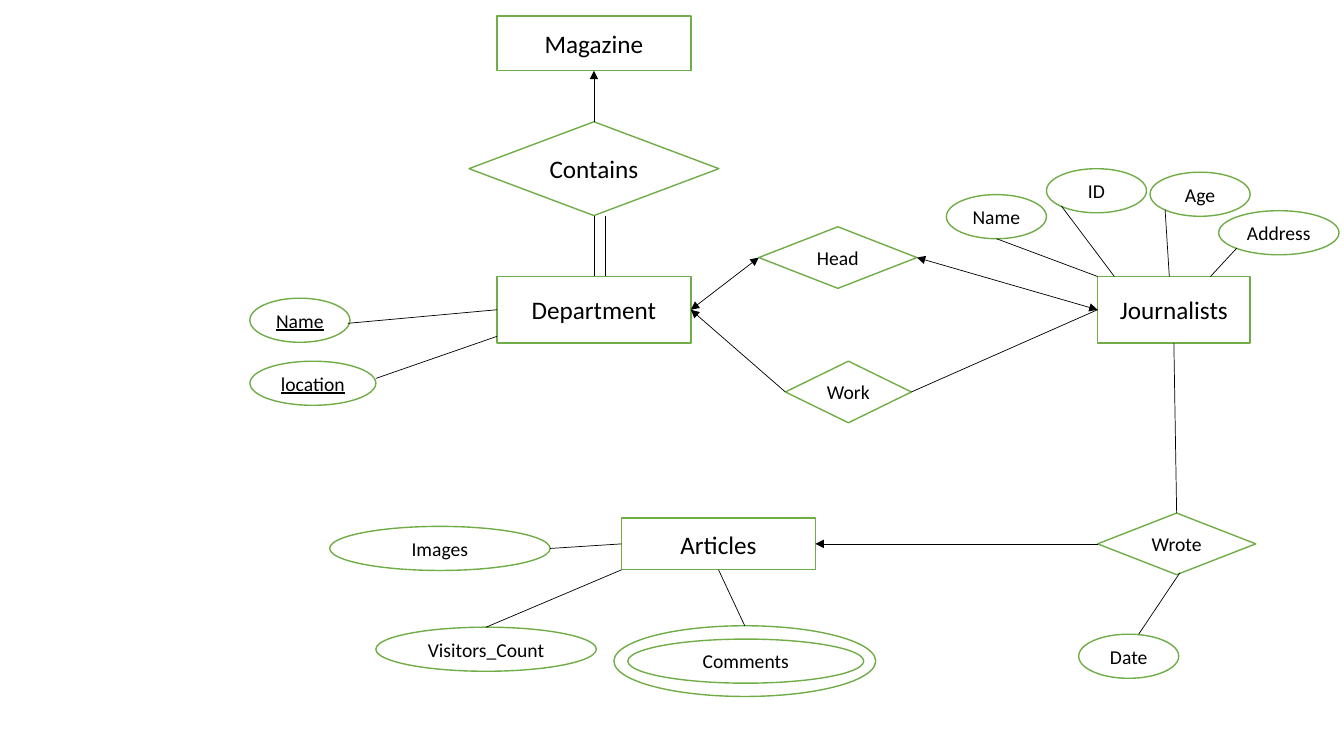
from pptx import Presentation
from pptx.dml.color import RGBColor
from pptx.enum.shapes import MSO_CONNECTOR as Conn, MSO_SHAPE as Kind
from pptx.enum.text import MSO_ANCHOR as Anchor, PP_ALIGN as Align
from pptx.oxml.ns import qn
from pptx.util import Pt
from lxml.etree import SubElement

WHITE = RGBColor(0xFF, 0xFF, 0xFF)
BLACK = RGBColor(0, 0, 0)
GREEN = RGBColor(0x70, 0xAD, 0x47)

BIG, SMALL = 18, 14
OVAL = 31.5  # height of every attribute
FRAME = {"word_wrap": False, "vertical_anchor": Anchor.MIDDLE}


def apply(target, values):
    for key, value in values.items():
        setattr(target, key, value)


def shift(box, dx, dy, width, height):
    """Box whose corner lies dx, dy from the corner of another."""
    return box[0] + dx, box[1] + dy, width, height


def spot(box, fx, fy):
    """Point at a fraction of a box's width and height."""
    return box[0] + fx * box[2], box[1] + fy * box[3]


def node(slide, kind, box, text="", size=SMALL, under=False):
    shape = slide.shapes.add_shape(kind, *map(Pt, box))
    shape.shadow.inherit = False
    shape.fill.solid()
    shape.fill.fore_color.rgb = WHITE
    shape.line.color.rgb = GREEN
    shape.line.width = Pt(1)
    if text:
        apply(shape.text_frame, FRAME)
        para = shape.text_frame.paragraphs[0]
        para.alignment = Align.CENTER
        run = para.add_run()
        run.text = text
        apply(run.font, {"name": "Calibri", "size": Pt(size), "underline": under})
        run.font.color.rgb = BLACK
    return box


def link(slide, start, end, *ends):
    """Thin line; ends names the tips that get an arrowhead."""
    line = slide.shapes.add_connector(Conn.STRAIGHT, *map(Pt, start + end))
    line.line.color.rgb = BLACK
    line.line.width = Pt(0.5)
    props = line.element.spPr
    for tip in ends:
        SubElement(props.find(qn("a:ln")), qn("a:" + tip), type="triangle")
    SubElement(props, qn("a:effectLst"))


def traits(slide, box, rows, under=False):
    """Attribute ovals, each tied to the box they describe."""
    for text, dx, dy, width, root, tip in rows:
        oval = node(slide, Kind.OVAL, shift(box, dx, dy, width, OVAL), text, under=under)
        link(slide, spot(box, *root), spot(oval, *tip))


# Magazine, and how it contains departments
def magazine(slide, box, dept):
    node(slide, Kind.RECTANGLE, box, "Magazine", BIG)
    gem = node(slide, Kind.DIAMOND, shift(box, -20, 75.5, 178.5, 67), "Contains", BIG)
    link(slide, spot(gem, 0.5, 0), spot(box, 0.5, 1), "tailEnd")
    x, y = spot(gem, 0.5, 1)
    for gap in (0, 8):
        link(slide, (x + gap, y), (x + gap, dept[1]))


# Department with its key attributes
def department(slide, box):
    node(slide, Kind.RECTANGLE, box, "Department", BIG)
    traits(slide, box, [
        ("Name", -176.5, 15.5, 71.5, (0, 0.5), (0.98, 0.57)),
        ("location", -176.5, 60.5, 90, (0, 0.9), (1, 0.39)),
    ], under=True)


# Journalists with a fan of attributes
def staff(slide, box):
    node(slide, Kind.RECTANGLE, box, "Journalists", BIG)
    edge = (0.15, 0.85)
    traits(slide, box, [
        ("Name", -108, -58.5, 71.5, (0, 0), (0.5, 1)),
        ("ID", -36.5, -77, 71.5, (0.11, 0), edge),
        ("Age", 37.5, -74.5, 71.5, (0.47, 0), edge),
        ("Address", 86.5, -47, 86, (0.74, 0), edge),
    ])


# Head and Work, between department and journalists
def posts(slide, dept, crew):
    left, right = spot(dept, 1, 0.5), spot(crew, 0, 0.5)
    head = node(slide, Kind.DIAMOND, shift(dept, 187, -35.5, 113, 44), "Head")
    link(slide, left, spot(head, 0, 0.5), "headEnd", "tailEnd")
    link(slide, spot(head, 1, 0.5), right, "headEnd", "tailEnd")
    work = node(slide, Kind.DIAMOND, shift(dept, 206, 60.5, 90, 44), "Work")
    link(slide, spot(work, 0, 0.5), left, "tailEnd")
    link(slide, right, spot(work, 1, 0.5))


# Wrote, between journalists and articles
def wrote(slide, box, crew, works):
    node(slide, Kind.DIAMOND, box, "Wrote")
    link(slide, spot(crew, 0.5, 1), spot(box, 0.5, 0))
    link(slide, spot(box, 0, 0.5), spot(works, 1, 0.5), "tailEnd")
    traits(slide, box, [("Date", -13.5, 86.5, 71.5, (0.52, 0.97), (0.6, 0))])


# Articles, with the double oval of a multivalued attribute
def articles(slide, box):
    node(slide, Kind.RECTANGLE, box, "Articles", BIG)
    traits(slide, box, [
        ("Visitors_Count", -175.5, 78, 157.5, (0, 1), (0.5, 0)),
        ("Images", -208.5, 6, 157.5, (0, 0.5), (1, 0.5)),
    ])
    ring = node(slide, Kind.OVAL, shift(box, -5.5, 77, 187, 50.5))
    node(slide, Kind.OVAL, shift(ring, 10, 9.5, 168.5, OVAL), "Comments")
    link(slide, spot(box, 0.5, 1), spot(ring, 0.5, 0))


def main():
    deck = Presentation()
    deck.slide_width, deck.slide_height = Pt(960), Pt(540)
    slide = deck.slides.add_slide(deck.slide_layouts[6])
    dept = (355, 197.5, 138.5, 47.5)
    crew = (784, 197.5, 109, 47.5)
    works = (444, 370, 138.5, 37)
    magazine(slide, (355, 11.5, 138.5, 39), dept)
    department(slide, dept)
    staff(slide, crew)
    posts(slide, dept, crew)
    articles(slide, works)
    wrote(slide, (784, 366.5, 113, 44), crew, works)
    deck.save("out.pptx")


if __name__ == "__main__":
    main()
